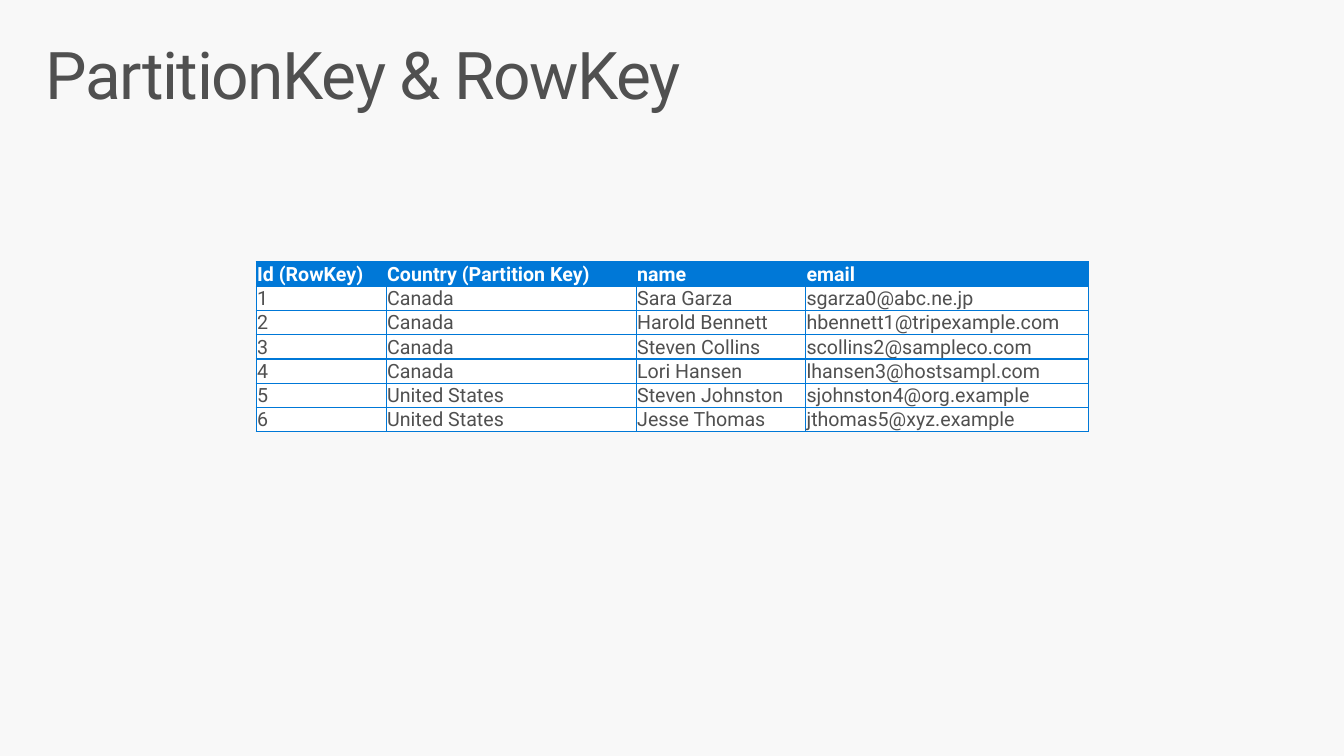
from lxml import etree
from pptx import Presentation
from pptx import util as u
from pptx.dml.color import RGBColor
from pptx.enum import text
from pptx.oxml.ns import qn

FONT = "Roboto"
BLUE, GREY, WHITE, BACKGROUND = "0078D7", "505050", "FFFFFF", "F8F8F8"
COLUMN_WIDTHS = [1.29, 2.48, 1.68, 2.81]
ROW_HEIGHT = 0.24
ROWS = [
    ("Id (RowKey)", "Country (Partition Key)", "name", "email"),
    ("1", "Canada", "Sara Garza", "sgarza0@abc.ne.jp"),
    ("2", "Canada", "Harold Bennett", "hbennett1@tripexample.com"),
    ("3", "Canada", "Steven Collins", "scollins2@sampleco.com"),
    ("4", "Canada", "Lori Hansen", "lhansen3@hostsampl.com"),
    ("5", "United States", "Steven Johnston", "sjohnston4@org.example"),
    ("6", "United States", "Jesse Thomas", "jthomas5@xyz.example"),
]


def paint(fill, color):
    fill.solid()
    fill.fore_color.rgb = RGBColor.from_string(color)


def set_font(font, size, color, bold=False):
    font.name = FONT
    font.size = u.Pt(size)
    font.bold = bold
    font.color.rgb = RGBColor.from_string(color)


def add_title(slide, wording):
    title = slide.shapes.title
    title.left, title.top = u.Inches(0.29), u.Inches(0.32)
    title.width, title.height = u.Inches(12.75), u.Inches(0.98)
    frame = title.text_frame
    frame.text = wording
    frame.word_wrap = True
    frame.auto_size = text.MSO_AUTO_SIZE.NONE
    frame.vertical_anchor = text.MSO_ANCHOR.TOP
    frame.margin_left = frame.margin_right = u.Inches(0.16)
    frame.margin_top = frame.margin_bottom = u.Inches(0.1)
    paragraph = frame.paragraphs[0]
    paragraph.alignment = text.PP_ALIGN.LEFT
    paragraph.line_spacing = 0.9
    set_font(paragraph.font, 47, GREY)
    paragraph.runs[0].font._element.set("spc", "-100")


def add_borders(cell, color, width):
    properties = cell._tc.get_or_add_tcPr()
    for position, side in enumerate(("lnL", "lnR", "lnT", "lnB")):
        line = etree.Element(qn(f"a:{side}"), w=str(u.Pt(width)))
        fill = etree.SubElement(line, qn("a:solidFill"))
        etree.SubElement(fill, qn("a:srgbClr"), val=color)
        properties.insert(position, line)


def fill_cell(cell, wording, is_header):
    cell.text = wording
    cell.vertical_anchor = text.MSO_ANCHOR.BOTTOM
    cell.margin_left = cell.margin_right = cell.margin_top = u.Inches(0.01)
    cell.margin_bottom = 0
    paint(cell.fill, BLUE if is_header else WHITE)
    set_font(cell.text_frame.paragraphs[0].font, 14, WHITE if is_header else GREY, is_header)
    add_borders(cell, BLUE, 1)


def add_people_table(slide):
    table = slide.shapes.add_table(
        len(ROWS), len(COLUMN_WIDTHS), u.Inches(2.54), u.Inches(2.6),
        u.Inches(sum(COLUMN_WIDTHS)), u.Inches(ROW_HEIGHT * len(ROWS))).table
    for column, width in zip(table.columns, COLUMN_WIDTHS):
        column.width = u.Inches(width)
    for row_index, (row, wordings) in enumerate(zip(table.rows, ROWS)):
        row.height = u.Inches(ROW_HEIGHT)
        for cell, wording in zip(row.cells, wordings):
            fill_cell(cell, wording, row_index == 0)


def main():
    presentation = Presentation()
    presentation.slide_width = u.Inches(13.33)
    presentation.slide_height = u.Inches(7.5)
    slide = presentation.slides.add_slide(presentation.slide_layouts.get_by_name("Title Only"))
    paint(slide.background.fill, BACKGROUND)
    add_title(slide, "PartitionKey & RowKey")
    add_people_table(slide)
    presentation.save("out.pptx")


if __name__ == "__main__":
    main()
